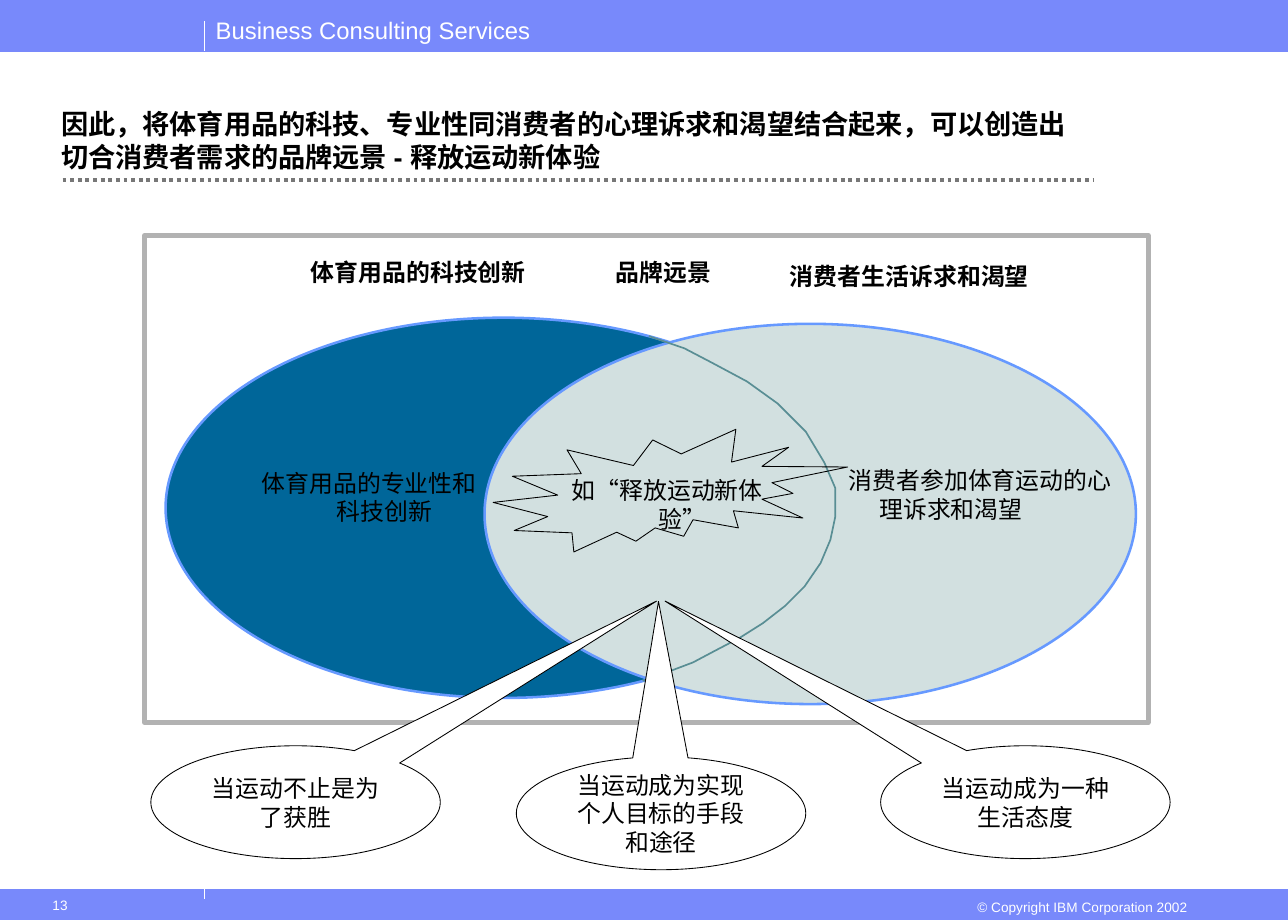
from dataclasses import dataclass
from typing import NamedTuple

from lxml import etree
from pptx import Presentation
from pptx.dml.color import RGBColor
from pptx.enum.dml import MSO_LINE
from pptx.enum.shapes import MSO_CONNECTOR, MSO_SHAPE as SHAPE
from pptx.enum.text import MSO_ANCHOR as ANCHOR, PP_ALIGN as ALIGN
from pptx.oxml.ns import qn
from pptx.util import Pt

PX = 9144  # EMU in one px, 100 px to the inch


@dataclass(frozen=True)
class Theme:
    band: str = "7889FB"
    white: str = "FFFFFF"
    ink: str = "000000"
    dots: str = "777777"
    frame: str = "B2B2B2"
    technology: str = "006699"
    consumer: str = "D2E0E0"
    rim: str = "6699FF"
    hidden_rim: str = "598E94"
    latin: str = "Arial"
    chinese: str = "Noto Sans CJK SC"
    title_size: int = 16
    body_size: int = 14
    small_size: int = 8


class Box(NamedTuple):
    left: int
    top: int
    width: int
    height: int

    def inner(self, dx, dy, width, height):
        return Box(self.left + dx, self.top + dy, width, height)

    def emu(self):
        return [length * PX for length in self]


THEME = Theme()
HIDDEN_RIM = [
    (411, 82), (440, 92), (463, 104), (491, 119), (516, 137), (539, 160),
    (554, 185), (563, 206), (563, 229), (559, 248), (551, 267), (538, 286),
    (522, 302), (504, 316), (485, 328), (464, 339), (447, 348), (418, 359),
    (406, 363),
]


def rgb(code):
    return RGBColor.from_string(code)


def write(shape, text, *, size=THEME.body_size, color=THEME.ink, bold=False,
          font=THEME.latin, align=ALIGN.LEFT, anchor=ANCHOR.TOP, wrap=True,
          spacing=None, hanging=0):
    frame = shape.text_frame
    frame.word_wrap = wrap
    frame.vertical_anchor = anchor
    paragraph = frame.paragraphs[0]
    paragraph.alignment = align
    if spacing:
        paragraph.line_spacing = spacing
    if hanging:
        properties = paragraph._p.get_or_add_pPr()
        properties.set("marL", str(hanging * PX))
        properties.set("indent", str(-hanging * PX))
    run = paragraph.add_run()
    run.text = text
    run.font.name = font
    run.font.size = Pt(size)
    run.font.bold = bold
    run.font.color.rgb = rgb(color)
    east_asian = etree.SubElement(run.font._element, qn("a:ea"))
    east_asian.set("typeface", THEME.chinese)


def label(slide, box, text, **style):
    write(slide.shapes.add_textbox(*box.emu()), text, **style)


def paint(shape, fill, line, width):
    shape.shadow.inherit = False
    if fill:
        shape.fill.solid()
        shape.fill.fore_color.rgb = rgb(fill)
    else:
        shape.fill.background()
    shape.line.color.rgb = rgb(line)
    shape.line.width = Pt(width)


def draw(slide, preset, box, fill, line, width):
    shape = slide.shapes.add_shape(preset, *box.emu())
    paint(shape, fill, line, width)
    return shape


def rule(slide, box, color, width, dash=None):
    left, top, across, down = box.emu()
    line = slide.shapes.add_connector(
        MSO_CONNECTOR.STRAIGHT, left, top, left + across, top + down)
    line.line.color.rgb = rgb(color)
    line.line.width = Pt(width)
    if dash:
        line.line.dash_style = dash
    etree.SubElement(line._element.spPr, qn("a:effectLst"))


def header(slide, box):
    draw(slide, SHAPE.RECTANGLE, box, THEME.band, THEME.band, 0.75)
    label(slide, box.inner(166, 8, 277, 34), "Business Consulting Services",
          color=THEME.white, wrap=False)
    rule(slide, box.inner(167, 17, 0, 25), THEME.white, 0.75)


def footer(slide, box):
    small = dict(size=THEME.small_size, color=THEME.white)
    draw(slide, SHAPE.RECTANGLE, box, THEME.band, THEME.band, 0.75)
    label(slide, box.inner(783, 3, 195, 24),
          "© Copyright IBM Corporation 2002", align=ALIGN.RIGHT, **small)
    rule(slide, box.inner(167, -17, 0, 25), THEME.white, 0.75)
    label(slide, box.inner(33, 1, 133, 24), "13", **small)


def headline(slide, box):
    label(slide, box,
          "因此，将体育用品的科技、专业性同消费者的心理诉求和渴望结合起来，"
          "可以创造出切合消费者需求的品牌远景 - 释放运动新体验",
          size=THEME.title_size, bold=True, anchor=ANCHOR.BOTTOM)
    rule(slide, box.inner(11, 81, 841, 0), THEME.dots, 2.25,
         MSO_LINE.ROUND_DOT)


def venn(slide, box):
    """Two overlapping ellipses in a frame, with headings and a burst."""
    draw(slide, SHAPE.RECTANGLE, box, THEME.white, THEME.frame, 3)
    draw(slide, SHAPE.OVAL, box.inner(17, 67, 551, 310),
         THEME.technology, THEME.rim, 1.5)
    draw(slide, SHAPE.OVAL, box.inner(277, 72, 531, 310),
         THEME.consumer, THEME.rim, 1.5)

    points = [(box.left + x, box.top + y) for x, y in HIDDEN_RIM]
    outline = slide.shapes.build_freeform(*points[0], scale=PX)
    outline.add_line_segments(points[1:], close=False)
    paint(outline.convert_to_shape(), None, THEME.hidden_rim, 1)

    for place, text in (
            ((109, 16, 228, 31), "体育用品的科技创新"),
            ((343, 16, 160, 31), "品牌远景"),
            ((498, 19, 251, 31), "消费者生活诉求和渴望")):
        label(slide, box.inner(*place), text, bold=True, font=THEME.chinese,
              align=ALIGN.CENTER, spacing=0.9)
    for place, text, align in (
            ((82, 185, 202, 57), "体育用品的专业性和科技创新", ALIGN.CENTER),
            ((320, 191, 212, 57), "如“释放运动新体验”", ALIGN.CENTER),
            ((564, 183, 236, 57), "消费者参加体育运动的心理诉求和渴望",
             ALIGN.LEFT)):
        label(slide, box.inner(*place), text, align=align, hanging=25)
    draw(slide, SHAPE.EXPLOSION2, box.inner(284, 158, 289, 100),
         None, THEME.ink, 0.5)


def callouts(slide, box):
    """Three equally spaced balloons pointing into the overlap."""
    width, height = 236, 92
    step = (box.width - width) / 2
    for index, (drop, tip, text) in enumerate((
            (0, (1.247, -1.782), "当运动不止是为了获胜"),
            (9, (-0.009, -1.877), "当运动成为实现个人目标的手段和途径"),
            (0, (-1.245, -1.782), "当运动成为一种生活态度"))):
        place = box.inner(round(index * step), drop, width, height)
        balloon = draw(slide, SHAPE.OVAL_CALLOUT, place,
                       THEME.white, THEME.ink, 0.5)
        balloon.adjustments[0], balloon.adjustments[1] = tip
        write(balloon, text, align=ALIGN.CENTER, anchor=ANCHOR.MIDDLE)


def main():
    deck = Presentation()
    deck.slide_width, deck.slide_height = 1050 * PX, 750 * PX
    slide = deck.slides.add_slide(deck.slide_layouts[6])
    header(slide, Box(0, 0, 1050, 42))
    footer(slide, Box(0, 725, 1050, 25))
    headline(slide, Box(40, 66, 850, 80))
    venn(slide, Box(118, 192, 818, 397))
    callouts(slide, Box(123, 608, 831, 101))
    deck.save("out.pptx")


if __name__ == "__main__":
    main()
